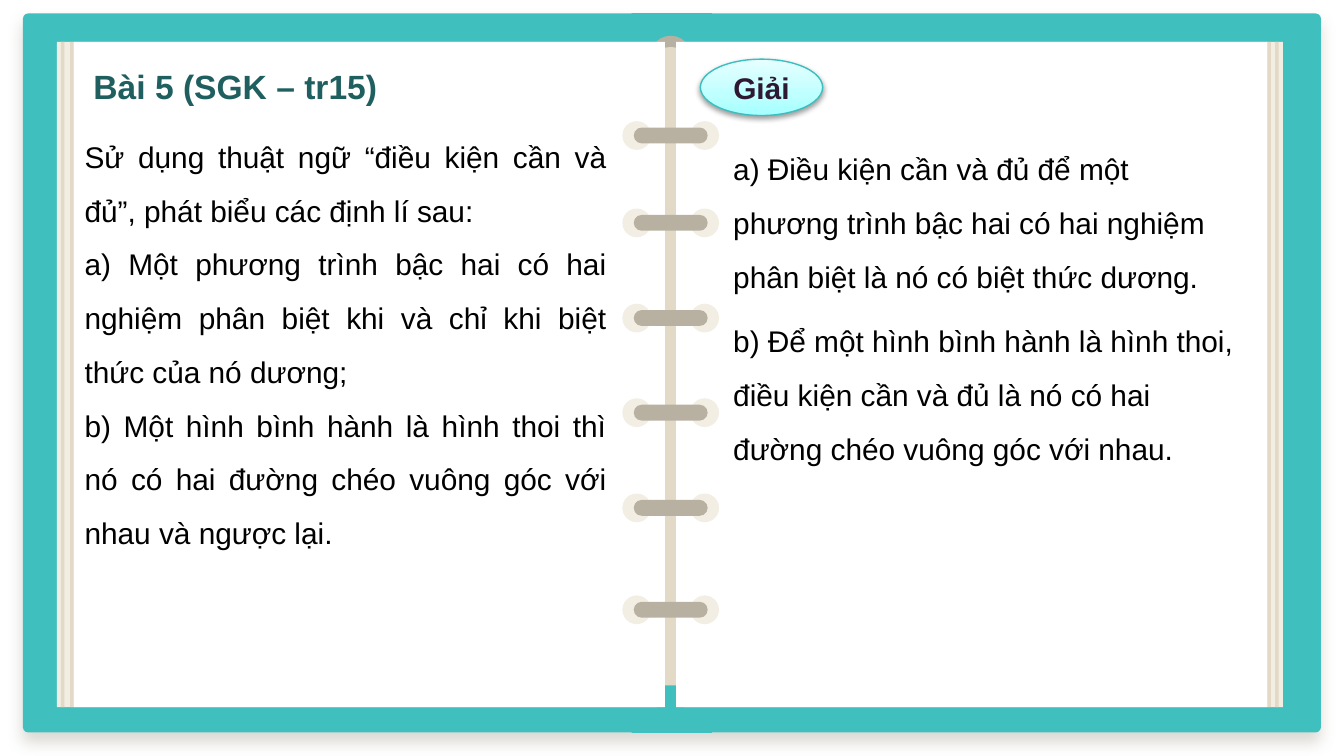
from copy import deepcopy
from dataclasses import dataclass

from lxml import etree
from pptx import Presentation
from pptx import util as u
from pptx.dml import color
from pptx.enum import shapes, text
from pptx.oxml import ns

COLORS = {
    "teal": "40BFBF", "paper": "F2EEE3", "sand": "E2DAC7", "ring": "B8B1A1",
    "white": "FFFFFF", "black": "000000", "heading": "205F60",
    "answer": "2F1932", "badge_edge": "3BBEBE", "cover_shadow": "918C7F",
    "badge_low": "A3FFFF", "badge_mid": "BEFFFF", "badge_high": "E6FFFF",
}
RECT = shapes.MSO_SHAPE.RECTANGLE
ROUND = shapes.MSO_SHAPE.ROUNDED_RECTANGLE
OVAL = shapes.MSO_SHAPE.OVAL

PAGE_TOP, PAGE_HEIGHT, PAGE_WIDTH = 22.4, 356.4, 316.8
SPINE_CENTER = 359.3
HOLE_SIZE, HOLE_OFFSET = 15.4, 18.2
BAR_WIDTH, BAR_HEIGHT = 39.6, 8.5
RING_CENTERS = (72.6, 119.4, 170.4, 221.1, 272.1, 326.7)
STRIPE_LEFTS = (32.6, 37.6, 679, 683.1)


@dataclass
class Part:
    left: float
    top: float
    width: float
    height: float
    fill: str
    kind: int = RECT
    corner: float = 0


@dataclass
class Shadow:
    tint: str
    alpha: int
    blur: float
    distance: float


def rgb(name: str) -> color.RGBColor:
    return color.RGBColor.from_string(COLORS[name])


def draw_part(slide, part: Part):
    drawn = slide.shapes.add_shape(part.kind, u.Pt(part.left), u.Pt(part.top),
                                   u.Pt(part.width), u.Pt(part.height))
    drawn.shadow.inherit = False
    drawn.fill.solid()
    drawn.fill.fore_color.rgb = rgb(part.fill)
    drawn.line.fill.background()
    if part.kind == ROUND:
        drawn.adjustments[0] = part.corner
    return drawn


def cast_shadow(drawn, shadow: Shadow) -> None:
    effects = drawn._element.spPr.find(ns.qn("a:effectLst"))
    outer = etree.SubElement(effects, ns.qn("a:outerShdw"), blurRad=str(u.Pt(shadow.blur)),
                             dist=str(u.Pt(shadow.distance)), dir="5400000",
                             algn="t", rotWithShape="0")
    tint = etree.SubElement(outer, ns.qn("a:srgbClr"), val=COLORS[shadow.tint])
    etree.SubElement(tint, ns.qn("a:alpha"), val=str(shadow.alpha * 1000))


def shade_upward(drawn, stops: dict[int, str]) -> None:
    drawn.fill.gradient()
    drawn.fill.gradient_angle = 90
    stop_list = drawn._element.spPr.find(ns.qn("a:gradFill")).find(ns.qn("a:gsLst"))
    while len(stop_list) < len(stops):
        stop_list.append(deepcopy(stop_list[0]))
    for stop, (percent, name) in zip(drawn.fill.gradient_stops, stops.items()):
        stop.color.rgb = rgb(name)
        stop.position = percent / 100


def write(frame, paragraphs: list[str], *, size: float = 16, tint: str = "black",
          bold: bool = False, align=text.PP_ALIGN.LEFT, spacing: float = 1,
          after: tuple[float, ...] = (), wrap: bool = True) -> None:
    frame.word_wrap = wrap
    for index, wording in enumerate(paragraphs):
        paragraph = frame.paragraphs[0] if index == 0 else frame.add_paragraph()
        paragraph.alignment = align
        paragraph.line_spacing = spacing
        if after:
            paragraph.space_after = u.Pt(after[index])
        run = paragraph.add_run()
        run.text = wording
        run.font.name = "Arial"
        run.font.size = u.Pt(size)
        run.font.bold = bold
        run.font.color.rgb = rgb(tint)


def add_frame(slide, left: float, top: float, width: float, height: float):
    box = slide.shapes.add_textbox(u.Pt(left), u.Pt(top), u.Pt(width), u.Pt(height))
    box.text_frame.auto_size = text.MSO_AUTO_SIZE.SHAPE_TO_FIT_TEXT
    return box.text_frame


def draw_ring(slide, center: float) -> None:
    for side in (-1, 1):
        draw_part(slide, Part(SPINE_CENTER + side * HOLE_OFFSET - HOLE_SIZE / 2,
                              center - HOLE_SIZE / 2, HOLE_SIZE, HOLE_SIZE, "paper", OVAL))
    draw_part(slide, Part(SPINE_CENTER - BAR_WIDTH / 2, center - BAR_HEIGHT / 2,
                          BAR_WIDTH, BAR_HEIGHT, "ring", ROUND, 0.5))


def draw_notebook(slide) -> None:
    cover = draw_part(slide, Part(12.3, 7.2, 695.4, 385.2, "teal", ROUND, 0.0075 * 1))
    cast_shadow(cover, Shadow("cover_shadow", 32, 7.9, 5.2))
    layers = [
        Part(338.4, 7, 43, 385.6, "teal"),
        Part(30.5, PAGE_TOP, 321.5, PAGE_HEIGHT, "paper"),
        Part(354.2, 37.4, 9.4, 329.8, "sand"),
        Part(348.2, 19.2, 22.2, 22, "ring", OVAL),
        Part(348.2, 25.2, 22.2, 19.4, "sand", OVAL),
        Part(366.5, PAGE_TOP, 320.8, PAGE_HEIGHT, "paper"),
        Part(362.2, PAGE_TOP, PAGE_WIDTH, PAGE_HEIGHT, "white"),
        Part(39.5, PAGE_TOP, PAGE_WIDTH, PAGE_HEIGHT, "white"),
    ]
    for layer in layers:
        draw_part(slide, layer)
    for center in RING_CENTERS:
        draw_ring(slide, center)
    for left in STRIPE_LEFTS:
        draw_part(slide, Part(left, PAGE_TOP, 1.9, PAGE_HEIGHT, "sand"))


def draw_badge(slide) -> None:
    badge = draw_part(slide, Part(375.2, 31.7, 65.5, 30.2, "white", OVAL))
    shade_upward(badge, {0: "badge_low", 35: "badge_mid", 100: "badge_high"})
    badge.line.color.rgb = rgb("badge_edge")
    badge.line.width = u.Pt(0.75)
    cast_shadow(badge, Shadow("black", 38, 3.1, 1.6))
    badge.text_frame.vertical_anchor = text.MSO_ANCHOR.MIDDLE
    write(badge.text_frame, ["Giải"], tint="answer", bold=True, align=text.PP_ALIGN.CENTER)


def main() -> None:
    deck = Presentation()
    deck.slide_width, deck.slide_height = u.Pt(720), u.Pt(405)
    slide = deck.slides.add_slide(deck.slide_layouts[6])
    draw_notebook(slide)
    write(add_frame(slide, 43, 32, 167.8, 29), ["Bài 5 (SGK – tr15)"],
          size=18, tint="heading", bold=True, wrap=False)
    draw_badge(slide)
    write(add_frame(slide, 38.2, 61.2, 293.8, 239.8), [
        "Sử dụng thuật ngữ “điều kiện cần và đủ”, phát biểu các định lí sau:",
        "a) Một phương trình bậc hai có hai nghiệm phân biệt khi và chỉ khi biệt thức của nó dương;",
        "b) Một hình bình hành là hình thoi thì nó có hai đường chéo vuông góc với nhau và ngược lại.",
    ], align=text.PP_ALIGN.JUSTIFY, spacing=1.5)
    write(add_frame(slide, 385.7, 67.7, 286.6, 184.3), [
        "a) Điều kiện cần và đủ để một phương trình bậc hai có hai nghiệm phân biệt là nó có biệt thức dương.",
        "b) Để một hình bình hành là hình thoi, điều kiện cần và đủ là nó có hai đường chéo vuông góc với nhau.",
    ], spacing=1.5, after=(6, 12))
    deck.save("out.pptx")


if __name__ == "__main__":
    main()
